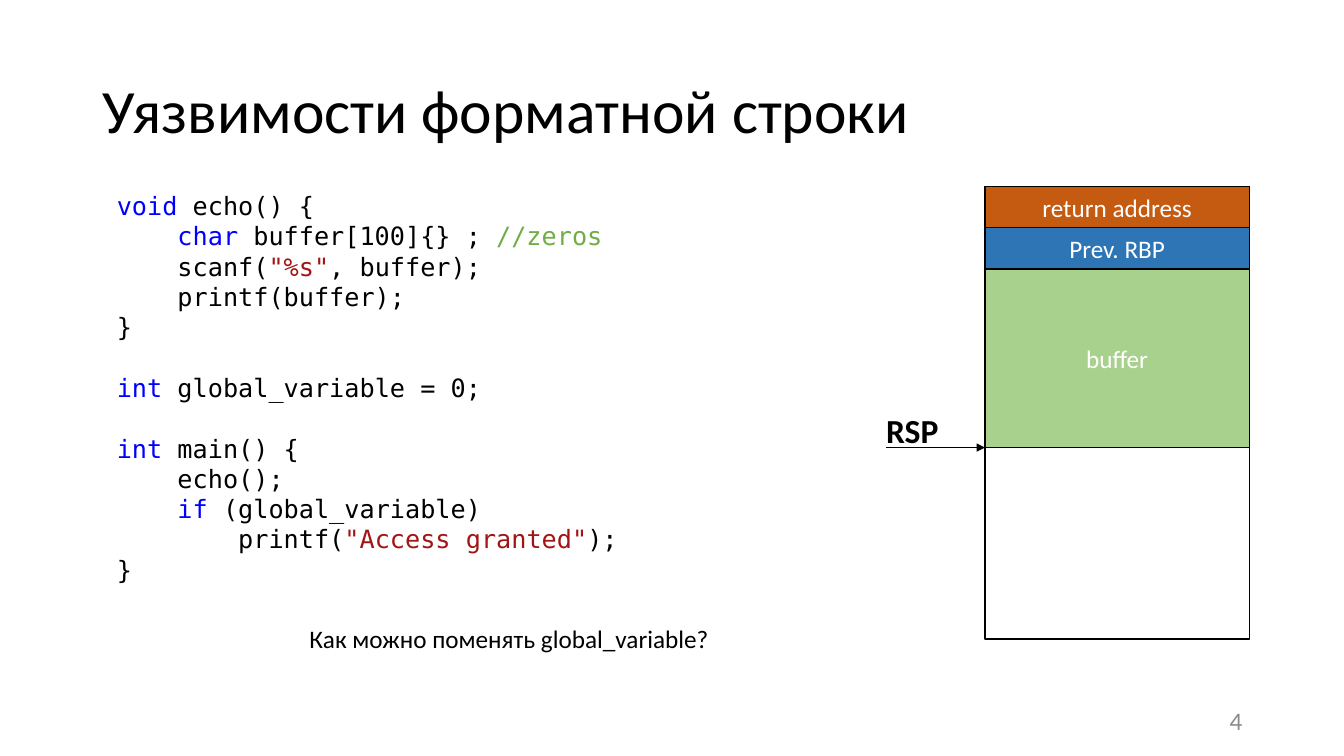
from lxml.etree import SubElement
from pptx import Presentation
from pptx.dml.color import RGBColor
from pptx.enum.shapes import MSO_CONNECTOR, MSO_SHAPE
from pptx.enum.text import MSO_ANCHOR, PP_ALIGN
from pptx.oxml.ns import qn
from pptx.util import Inches, Pt

BLACK = RGBColor(0x00, 0x00, 0x00)
WHITE = RGBColor(0xFF, 0xFF, 0xFF)
GRAY = RGBColor(0x8C, 0x8C, 0x8C)
KEYWORD = RGBColor(0x00, 0x00, 0xFF)
STRING = RGBColor(0xA3, 0x15, 0x15)
COMMENT = RGBColor(0x70, 0xAD, 0x47)
ORANGE = RGBColor(0xC5, 0x5A, 0x11)
BLUE = RGBColor(0x2E, 0x75, 0xB6)
GREEN = RGBColor(0xA9, 0xD1, 0x8E)

CODE_BLOCKS = [
    [
        [("void", KEYWORD), (" echo() {", BLACK)],
        [("    char", KEYWORD), (" buffer[100]{} ; ", BLACK), ("//zeros", COMMENT)],
        [("    scanf(", BLACK), ('"%s"', STRING), (", buffer);", BLACK)],
        [("    printf(buffer);", BLACK)],
        [("}", BLACK)],
    ],
    [
        [("int", KEYWORD), (" global_variable = 0;", BLACK)],
    ],
    [
        [("int", KEYWORD), (" main() {", BLACK)],
        [("    echo();", BLACK)],
        [("    if", KEYWORD), (" (global_variable)", BLACK)],
        [("        printf(", BLACK), ('"Access granted"', STRING), (");", BLACK)],
        [("}", BLACK)],
    ],
]
STACK_CELLS = [
    ("return address", ORANGE, 0.41),
    ("Prev. RBP", BLUE, 0.41),
    ("buffer", GREEN, 1.77),
]


def add_run(paragraph, text, color, **formats):
    run = paragraph.add_run()
    run.text = text
    run.font.color.rgb = color
    for name, value in {"name": "Calibri", "size": Pt(18), **formats}.items():
        setattr(run.font, name, value)


def add_text_box(slide, left, top, width, height, **formats):
    shape = slide.shapes.add_textbox(Inches(left), Inches(top), Inches(width), Inches(height))
    frame = shape.text_frame
    for name, value in {"word_wrap": True, **formats}.items():
        setattr(frame, name, value)
    return frame.paragraphs[0]


def add_title(slide, left, top, width, height):
    paragraph = add_text_box(slide, left, top, width, height, vertical_anchor=MSO_ANCHOR.MIDDLE)
    paragraph.line_spacing = 0.9
    add_run(paragraph, "Уязвимости форматной строки", BLACK, size=Pt(44))


def add_page_number(slide, left, top, width, height):
    paragraph = add_text_box(slide, left, top, width, height, vertical_anchor=MSO_ANCHOR.MIDDLE)
    paragraph.alignment = PP_ALIGN.RIGHT
    add_run(paragraph, "4", GRAY)


def add_question(slide, left, top, width, height):
    paragraph = add_text_box(slide, left, top, width, height, word_wrap=False)
    add_run(paragraph, "Как можно поменять global_variable?", BLACK)


def add_code(slide, left, top, width, height):
    first = add_text_box(slide, left, top, width, height)
    frame = first._parent
    for block_index, block in enumerate(CODE_BLOCKS):
        for line_index, line in enumerate(block):
            if block_index == line_index == 0:
                paragraph = first
            else:
                paragraph = frame.add_paragraph()
            if block_index and line_index == 0:
                paragraph.space_before = Pt(21.8)
            for text, color in line:
                add_run(paragraph, text, color, name="DejaVu Sans Mono")


def add_cell(slide, left, top, width, height, fill=None, label=None):
    shape = slide.shapes.add_shape(
        MSO_SHAPE.RECTANGLE, Inches(left), Inches(top), Inches(width), Inches(height)
    )
    shape.shadow.inherit = False
    shape.line.color.rgb = BLACK
    shape.line.width = Pt(1)
    if fill is None:
        shape.fill.background()
    else:
        shape.fill.solid()
        shape.fill.fore_color.rgb = fill
    if label:
        shape.text_frame.vertical_anchor = MSO_ANCHOR.MIDDLE
        paragraph = shape.text_frame.paragraphs[0]
        paragraph.alignment = PP_ALIGN.CENTER
        add_run(paragraph, label, WHITE)


def add_stack_pointer(slide, tip_left, tip_top, length):
    arrow = slide.shapes.add_connector(
        MSO_CONNECTOR.STRAIGHT,
        Inches(tip_left - length), Inches(tip_top), Inches(tip_left), Inches(tip_top),
    )
    arrow.line.color.rgb = BLACK
    arrow.line.width = Pt(0.5)
    SubElement(arrow.line._get_or_add_ln(), qn("a:tailEnd"), type="triangle")
    SubElement(arrow._element.spPr, qn("a:effectLst"))
    paragraph = add_text_box(
        slide, tip_left - length - 0.1, tip_top - 0.42, 0.73, 0.5, word_wrap=False
    )
    add_run(paragraph, "RSP", BLACK, size=Pt(24), bold=True)


def add_stack(slide, left, top, width, height):
    add_cell(slide, left, top, width, height)
    cell_top = top
    for label, fill, cell_height in STACK_CELLS:
        add_cell(slide, left, cell_top, width, cell_height, fill, label)
        cell_top += cell_height
    add_stack_pointer(slide, left, cell_top, 0.98)


def main():
    presentation = Presentation()
    presentation.slide_width = Inches(13.33)
    presentation.slide_height = Inches(7.5)
    slide = presentation.slides.add_slide(presentation.slide_layouts[6])
    add_title(slide, 0.92, 0.4, 11.5, 1.45)
    add_code(slide, 1.06, 1.84, 5.69, 4.04)
    add_stack(slide, 9.77, 1.85, 2.62, 4.49)
    add_question(slide, 2.97, 6.13, 4.32, 0.4)
    add_page_number(slide, 9.42, 6.95, 3, 0.4)
    presentation.save("out.pptx")


if __name__ == "__main__":
    main()
